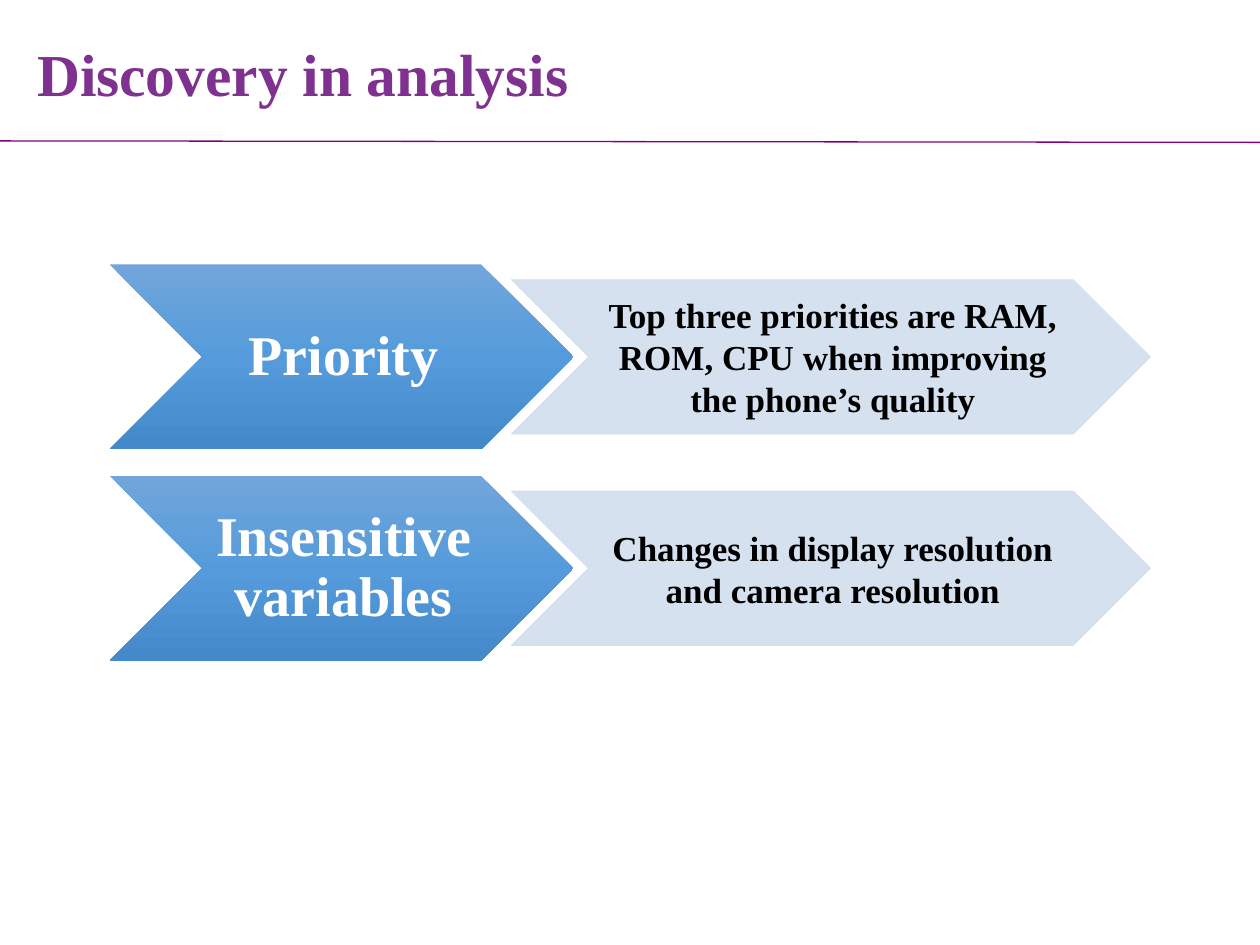
from copy import deepcopy

from lxml import etree
from pptx import Presentation
from pptx.dml.color import RGBColor
from pptx.enum import shapes, text
from pptx.oxml.ns import qn
from pptx.util import Cm, Pt

COLOURS = {
    "title": "7E318E",
    "rule": "800080",
    "light": "71A6DB",
    "middle": "559BDB",
    "dark": "448ACA",
    "pale": "D2DEEF",
    "white": "FFFFFF",
    "black": "000000",
}
FONT = "Times New Roman"
FINDINGS = [
    ("Priority", "Top three priorities are RAM, ROM, CPU when improving the phone’s quality"),
    ("Insensitive variables", "Changes in display resolution and camera resolution"),
]


def colour(name):
    """Return the named colour."""
    return RGBColor.from_string(COLOURS[name])


def add_text(page, box, wording, size, tint, align, spacing=1.0, insets=(0.1, 0.05, 0, 0.05)):
    """Place bold text, centred vertically, in a box given in centimetres."""
    frame = page.shapes.add_textbox(*map(Cm, box)).text_frame
    frame.word_wrap = True
    frame.vertical_anchor = text.MSO_ANCHOR.MIDDLE
    frame.margin_left, frame.margin_top, frame.margin_right, frame.margin_bottom = map(Cm, insets)
    frame.text = wording
    para = frame.paragraphs[0]
    para.alignment = align
    para.line_spacing = spacing
    font = para.runs[0].font
    font.name, font.size, font.bold = FONT, Pt(size), True
    font.color.rgb = colour(tint)


def add_chevron(page, box):
    """Place a chevron without shadow in a box given in centimetres."""
    chevron = page.shapes.add_shape(shapes.MSO_SHAPE.CHEVRON, *map(Cm, box))
    chevron.shadow.inherit = False
    return chevron


def fill_gradient(chevron):
    """Fill a chevron from light at the top to dark at the bottom."""
    chevron.line.fill.background()
    chevron.fill.gradient()
    chevron.fill.gradient_angle = 270
    stop_list = chevron._element.spPr.find(".//" + qn("a:gsLst"))
    stop_list.insert(1, deepcopy(stop_list[0]))
    for index, (stop, name) in enumerate(zip(chevron.fill.gradient_stops, ("light", "middle", "dark"))):
        stop.position = index / 2
        stop.color.rgb = colour(name)


def fill_pale(chevron):
    """Give a chevron a pale fill and outline at 90 percent opacity."""
    chevron.fill.solid()
    chevron.fill.fore_color.rgb = colour("pale")
    chevron.line.color.rgb = colour("pale")
    chevron.line.width = Pt(0.5)
    for tint in chevron._element.spPr.iter(qn("a:srgbClr")):
        etree.SubElement(tint, qn("a:alpha")).set("val", "90000")


def add_heading(page, left, top, width, height):
    """Place the slide title and the rule below it."""
    rule = page.shapes.add_connector(
        shapes.MSO_CONNECTOR.STRAIGHT, Cm(0), Cm(2.84), Cm(25.4), Cm(2.87))
    rule.line.color.rgb = colour("rule")
    rule.line.width = Pt(0.75)
    etree.SubElement(rule._element.spPr, qn("a:effectLst"))
    add_text(page, (left, top, width, height), "Discovery in analysis", 34, "title",
             text.PP_ALIGN.LEFT, 0.9, (0.25, 0.13, 0.25, 0.13))


def add_finding(page, left, top, width, height, label, detail):
    """Place a label chevron followed by its detail chevron."""
    centre = text.PP_ALIGN.CENTER
    fill_gradient(add_chevron(page, (left, top, 9.35, height)))
    add_text(page, (left + height / 2, top, 5.61, height), label, 32, "white", centre, 0.9)

    detail_left, detail_top = left + 8.1, top + 0.31
    detail_width, detail_height = width - 8.1, height - 0.62
    fill_pale(add_chevron(page, (detail_left, detail_top, detail_width, detail_height)))
    add_text(page, (detail_left + detail_height / 2, detail_top,
                    detail_width - detail_height, detail_height),
             detail, 20, "black", centre, insets=(0.08, 0.03, 0, 0.03))


def main():
    """Build the slide and save it."""
    deck = Presentation()
    deck.slide_width, deck.slide_height = Cm(25.4), Cm(19.05)
    page = deck.slides.add_slide(deck.slide_layouts[6])
    add_heading(page, 0.5, -0.03, 22.86, 3.18)
    for row, (label, detail) in enumerate(FINDINGS):
        add_finding(page, 2.21, 5.33 + row * 4.26, 20.98, 3.73, label, detail)
    deck.save("out.pptx")


if __name__ == "__main__":
    main()
